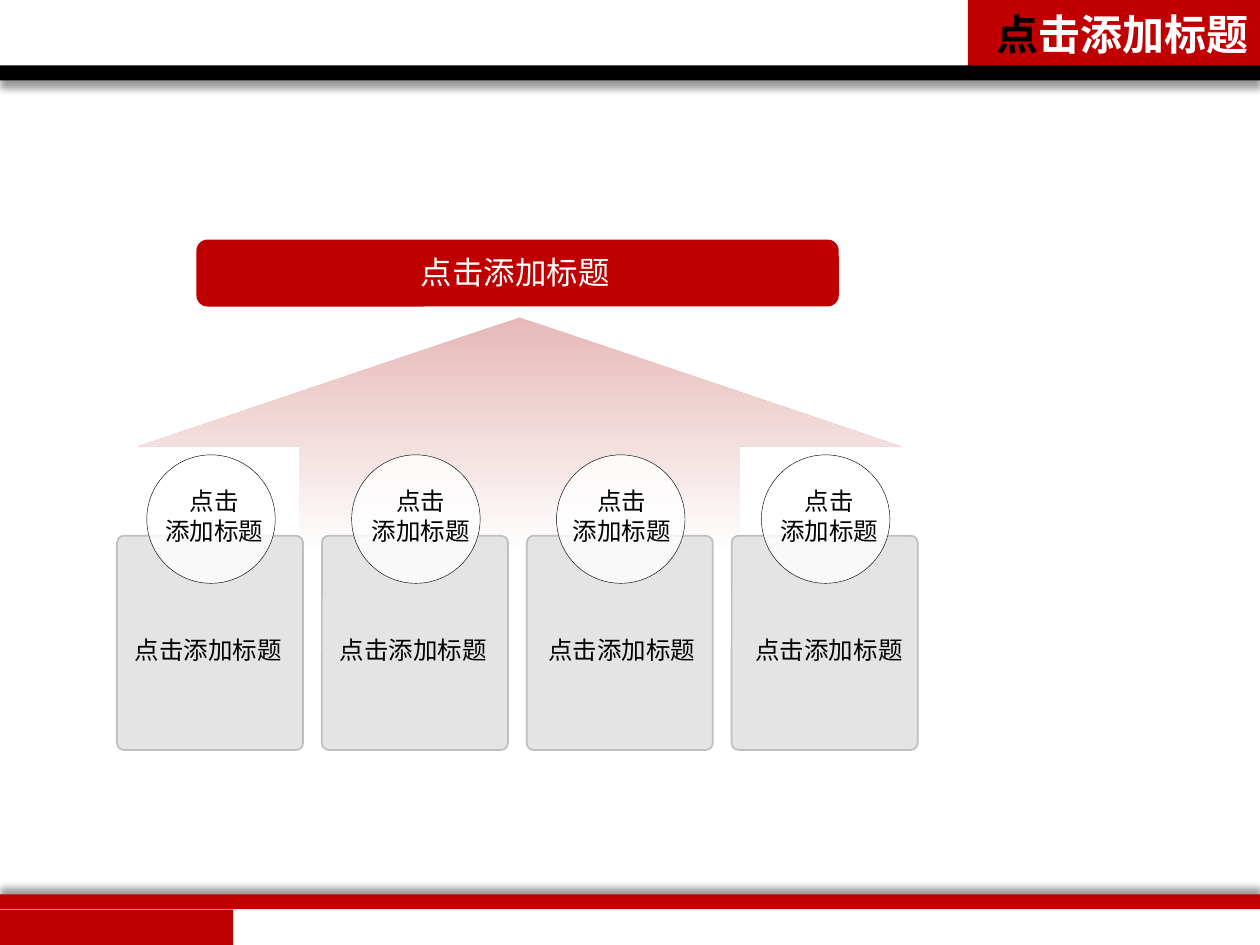
import pptx
import pptx.dml.color
import pptx.enum.shapes
import pptx.enum.text
import pptx.oxml
import pptx.oxml.ns
import pptx.util
from lxml import etree
from pptx.util import Cm

SHAPES = pptx.enum.shapes.MSO_SHAPE
ALIGN = pptx.enum.text.PP_ALIGN
COLOURS = {
    "red": "C00000", "black": "000000", "white": "FFFFFF",
    "pink": "E6B9B8", "card": "D9D9D9", "card_edge": "BFBFBF",
}
BODY_FONT = "Noto Sans CJK SC"
TITLE_FONT = "Noto Sans CJK JP"
PROMPT = "点击添加标题"
LABEL_SHIFTS = (-0.41, -0.38, -0.46, -0.41)
CAPTION_SHIFTS = (-0.53, -0.53, -0.46, -0.41)


def rgb(name):
    """Return the named colour."""
    return pptx.dml.color.RGBColor.from_string(COLOURS[name])


def add_element(parent, tag, **attributes):
    """Append a drawing element and return it."""
    return etree.SubElement(parent, pptx.oxml.ns.qn(tag), attributes)


def add_block(slide, kind, box, fill, opacity=100, edge=None, edge_width=1):
    """Add a flat preset shape in a box given in centimetres."""
    block = slide.shapes.add_shape(kind, *map(Cm, box))
    block.shadow.inherit = False
    block.fill.solid()
    block.fill.fore_color.rgb = rgb(fill)
    if opacity < 100:
        colour = block.fill._xPr.find(".//" + pptx.oxml.ns.qn("a:srgbClr"))
        add_element(colour, "a:alpha", val=str(opacity * 1000))
    if edge:
        block.line.color.rgb = rgb(edge)
        block.line.width = pptx.util.Pt(edge_width)
    else:
        block.line.fill.background()
    return block


def add_text(slide, box, lines, size, colour, font=BODY_FONT, bold=False, align=ALIGN.CENTER):
    """Add a text box with one paragraph for each line and return its frame."""
    frame = slide.shapes.add_textbox(*map(Cm, box)).text_frame
    frame.word_wrap = True
    frame.auto_size = pptx.enum.text.MSO_AUTO_SIZE.SHAPE_TO_FIT_TEXT
    frame.text = "\n".join(lines)
    for paragraph in frame.paragraphs:
        paragraph.alignment = align
        for run in paragraph.runs:
            style_run(run, size, colour, font, bold)
    return frame


def style_run(run, size, colour, font, bold):
    """Give a run its size, colour, weight and both typefaces."""
    run.font.size = pptx.util.Pt(size)
    run.font.bold = bold
    run.font.color.rgb = rgb(colour)
    run.font.name = font
    add_element(run.font._element, "a:ea", typeface=font)


def add_bar(slide, box, fill, direction):
    """Add a full-width bar that casts a soft shadow in a direction in degrees."""
    bar = add_block(slide, SHAPES.RECTANGLE, box, fill)
    effects = bar._element.spPr.find(pptx.oxml.ns.qn("a:effectLst"))
    shadow = add_element(effects, "a:outerShdw", blurRad="50800", dist="50800",
                         dir=str(direction * 60000), algn="ctr", rotWithShape="0")
    colour = add_element(shadow, "a:srgbClr", val=COLOURS["black"])
    add_element(colour, "a:alpha", val="40000")


def add_frame(slide, left, top, width, height):
    """Add the corner blocks and the shadowed bars at the slide's edges."""
    tab_width = 5.89
    add_block(slide, SHAPES.RECTANGLE, (left + width - tab_width, top, tab_width, 1.52), "red")
    add_block(slide, SHAPES.RECTANGLE, (left, top + height - 0.71, 4.7, 0.89), "red")
    add_bar(slide, (left, top + height - 1.02, width, 0.3), "red", 270)
    add_bar(slide, (left, top + 1.32, width, 0.3), "black", 90)


def add_title(slide, left, top, width, height):
    """Add the slide title with its first character in black."""
    frame = add_text(slide, (left, top, width, height), [PROMPT], 24, "white",
                     TITLE_FONT, True, ALIGN.RIGHT)
    paragraph = frame.paragraphs[0]
    first = paragraph.runs[0]
    first.text = PROMPT[0]
    first.font.color.rgb = rgb("black")
    rest = paragraph.add_run()
    rest.text = PROMPT[1:]
    style_run(rest, 24, "white", TITLE_FONT, True)


def add_arrow(slide, left, top, width, height):
    """Add the wide arrow that fades towards its foot."""
    arrow = add_block(slide, SHAPES.UP_ARROW, (left, top, width, height), "pink")
    arrow.adjustments[0] = 0.578
    arrow.adjustments[1] = 0.544
    arrow.fill.gradient()
    arrow.fill.gradient_angle = 270
    for stop, colour, position in zip(arrow.fill.gradient_stops, ("pink", "white"), (0, 1)):
        stop.color.rgb = rgb(colour)
        stop.position = position


def add_banner(slide, left, top, width, height):
    """Add the red banner and its heading."""
    add_block(slide, SHAPES.ROUNDED_RECTANGLE, (left, top, width, height), "red")
    add_text(slide, (left + 2.62, top + 0.15, 7.62, 1.02), [PROMPT], 18, "white")


def add_card(slide, left, top, width, height, label_shift, caption_shift):
    """Add a grey card with a caption and a labelled circle over its top edge."""
    card = add_block(slide, SHAPES.ROUNDED_RECTANGLE, (left, top, width, height),
                     "card", 70, "card_edge")
    card.adjustments[0] = 0.037
    add_block(slide, SHAPES.OVAL, (left + 0.6, top - 1.63, 2.59, 2.59),
              "white", 80, "black", 0.25)
    add_text(slide, (left + label_shift, top - 1.12, 4.75, 1.45),
             [PROMPT[:2], PROMPT[2:]], 14, "black")
    add_text(slide, (left + caption_shift, top + 1.87, 4.75, 0.86), [PROMPT], 14, "black")


def main():
    """Build and save the slide."""
    deck = pptx.Presentation()
    deck.slide_width, deck.slide_height = Cm(25.4), Cm(19.05)
    slide = deck.slides.add_slide(deck.slide_layouts[6])
    add_frame(slide, 0, 0, 25.4, 19.05)
    add_title(slide, 19.43, 0.05, 5.99, 1.3)
    add_arrow(slide, 2.79, 6.4, 15.37, 4.78)
    add_banner(slide, 3.96, 4.83, 12.95, 1.35)
    for index, shifts in enumerate(zip(LABEL_SHIFTS, CAPTION_SHIFTS)):
        add_card(slide, 2.36 + 4.13 * index, 10.8, 3.75, 4.32, *shifts)
    deck.save("out.pptx")


if __name__ == "__main__":
    main()
